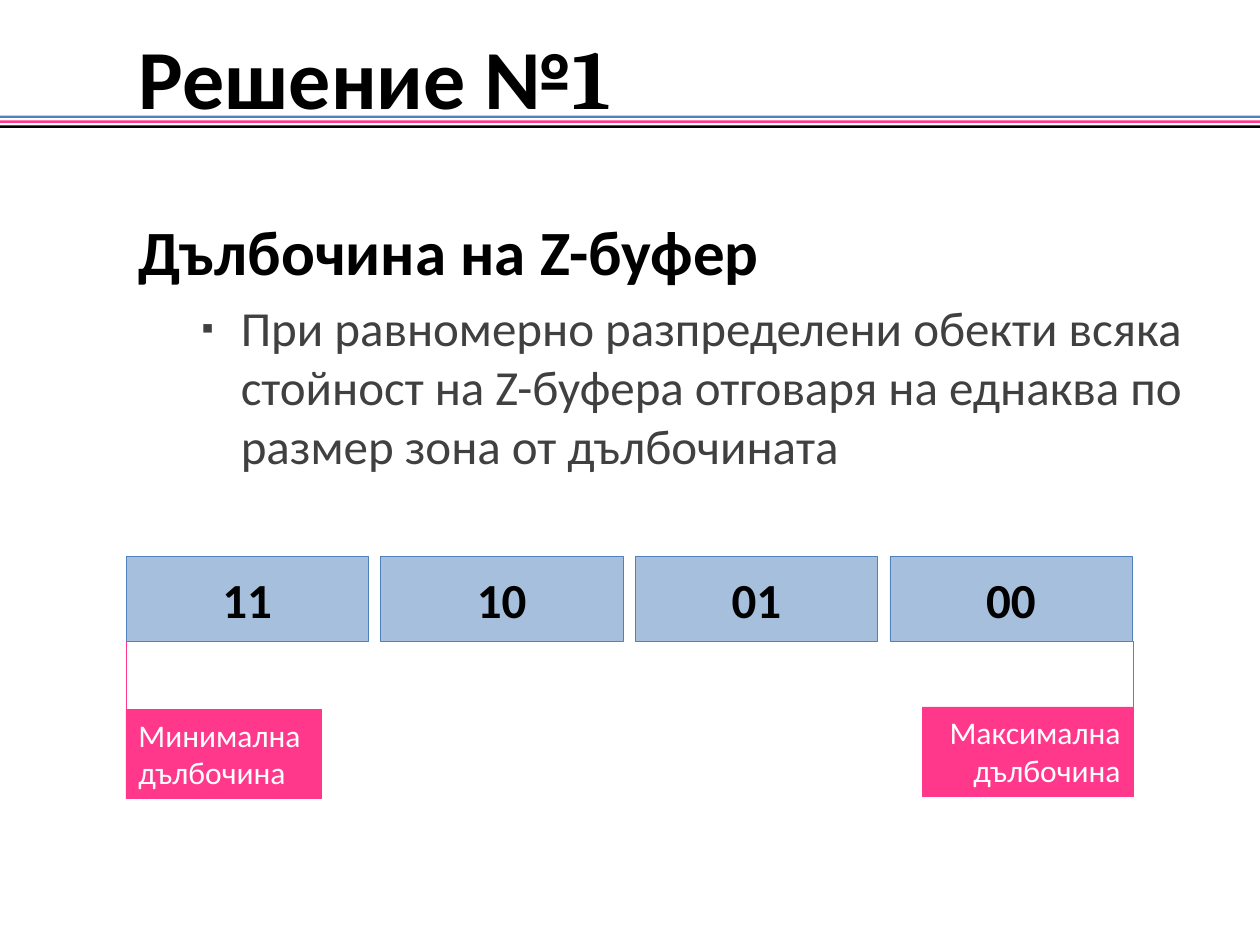
from pptx import Presentation
from pptx import util as u
from pptx.dml.color import RGBColor
from pptx.enum import shapes, text
from pptx.oxml.ns import qn
from lxml import etree

BLUE, PINK, BLACK, GREY, WHITE = "4F81BD", "FF388C", "000000", "404040", "FFFFFF"
SLIDE_W, SLIDE_H = 25.4, 19.05
MARGIN = 2.54


def rgb(color):
    return RGBColor.from_string(color)


def add_xml(parent, tag, **attrs):
    return etree.SubElement(parent, qn(tag), attrs)


def place(sp, left, top, width, height):
    sp.left, sp.top, sp.width, sp.height = map(u.Cm, (left, top, width, height))


def set_font(font, size, color, bold=False, name="Calibri"):
    font.size, font.bold, font.name = u.Pt(size), bold, name
    font.color.rgb = rgb(color)


def add_rect(slide, left, top, width, height, fill, line=None, alpha=None):
    sp = slide.shapes.add_shape(shapes.MSO_SHAPE.RECTANGLE,
                                *map(u.Cm, (left, top, width, height)))
    sp.shadow.inherit = False
    sp.fill.solid()
    sp.fill.fore_color.rgb = rgb(fill)
    if alpha:
        color = sp.fill._xPr.find(qn("a:solidFill"))[0]
        add_xml(color, "a:alpha", val=str(alpha * 1000))
    if line:
        sp.line.color.rgb = rgb(line)
        sp.line.width = u.Pt(0.25)
    else:
        sp.line.fill.background()
    return sp


def write(sp, words, size, color, align, anchor, bold=False):
    tf = sp.text_frame
    tf.word_wrap = True
    tf.vertical_anchor = anchor
    p = tf.paragraphs[0]
    p.text, p.alignment = words, align
    set_font(p.font, size, color, bold)


def add_stripes(slide, top, pitch=0.1, height=0.05):
    for i, color in enumerate((BLUE, PINK, BLACK)):
        add_rect(slide, 0, top + i * pitch, SLIDE_W, height, color)


def fill_title(sp, left, top, width, height):
    place(sp, left, top, width, height)
    tf = sp.text_frame
    tf.auto_size = text.MSO_AUTO_SIZE.NONE
    tf.vertical_anchor = text.MSO_ANCHOR.MIDDLE
    p = tf.paragraphs[0]
    p.alignment = text.PP_ALIGN.LEFT
    p._p.get_or_add_pPr().set("marL", str(u.Cm(MARGIN)))
    for words, name in (("Решение №", "Calibri"), ("1", "Cambria")):
        r = p.add_run()
        r.text = words
        set_font(r.font, 48, BLACK, True, name)


def fill_body(sp, left, top, width, height):
    place(sp, left, top, width, height)
    tf = sp.text_frame
    tf.auto_size = text.MSO_AUTO_SIZE.NONE

    # Heading without a bullet
    p = tf.paragraphs[0]
    p.text = "Дълбочина на Z-буфер"
    pPr = p._p.get_or_add_pPr()
    pPr.set("marL", "0")
    pPr.set("indent", "0")
    add_xml(pPr, "a:buNone")
    p.line_spacing, p.space_before = 1.5, u.Pt(0)
    set_font(p.font, 36, BLACK, True)

    # Bulleted explanation
    p = tf.add_paragraph()
    p.text = ("При равномерно разпределени обекти всяка стойност на "
              "Z-буфера отговаря на еднаква по размер зона от дълбочината")
    p.level = 1
    pPr = p._p.get_or_add_pPr()
    pPr.set("marL", str(u.Cm(2.06)))
    pPr.set("indent", str(u.Cm(-0.79)))
    add_xml(add_xml(pPr, "a:buClr"), "a:srgbClr", val=GREY)
    add_xml(pPr, "a:buSzPct", val="70000")
    add_xml(pPr, "a:buChar", char="▪")
    p.space_before = u.Pt(5.6)
    set_font(p.font, 28, GREY)


def add_zones(slide, left, top, width, height, gap=0.25):
    codes = ("11", "10", "01", "00")
    cell = (width - gap * (len(codes) - 1)) / len(codes)
    for i, code in enumerate(codes):
        sp = add_rect(slide, left + i * (cell + gap), top, cell, height,
                      BLUE, BLUE, alpha=50)
        write(sp, code, 28, BLACK, text.PP_ALIGN.CENTER,
              text.MSO_ANCHOR.MIDDLE, True)


def add_callout(slide, words, left, top, width, height, line_x, line_top, align):
    sp = add_rect(slide, left, top, width, height, PINK, PINK)
    write(sp, words, 18, WHITE, align, text.MSO_ANCHOR.TOP)
    line = slide.shapes.add_connector(
        shapes.MSO_CONNECTOR.STRAIGHT,
        *map(u.Cm, (line_x, line_top, line_x, top + height)))
    line.line.color.rgb = rgb(PINK)
    line.line.width = u.Pt(0.25)
    add_xml(line._element.spPr, "a:effectLst")


def main():
    prs = Presentation()
    prs.slide_width, prs.slide_height = u.Cm(SLIDE_W), u.Cm(SLIDE_H)
    slide = prs.slides.add_slide(prs.slide_layouts[1])
    title, body = slide.placeholders

    # Heading and text
    add_stripes(slide, 2.33)
    fill_title(title, 0, 0.64, SLIDE_W, 1.8)
    fill_body(body, MARGIN, 3.39, 22.65, 15.45)

    # Depth zones with both ends labelled
    zones_top, zones_h, zones_w = 11.22, 1.7, 20.28
    zones_bottom, right = zones_top + zones_h, 22.84
    add_zones(slide, MARGIN, zones_top, zones_w, zones_h)
    add_callout(slide, "Минимална дълбочина", MARGIN, 14.3, 3.94, 1.8,
                MARGIN, zones_bottom, text.PP_ALIGN.LEFT)
    add_callout(slide, "Максимална дълбочина", right - 4.24, 14.25, 4.24, 1.8,
                right, zones_bottom, text.PP_ALIGN.RIGHT)

    prs.save("out.pptx")


if __name__ == "__main__":
    main()
